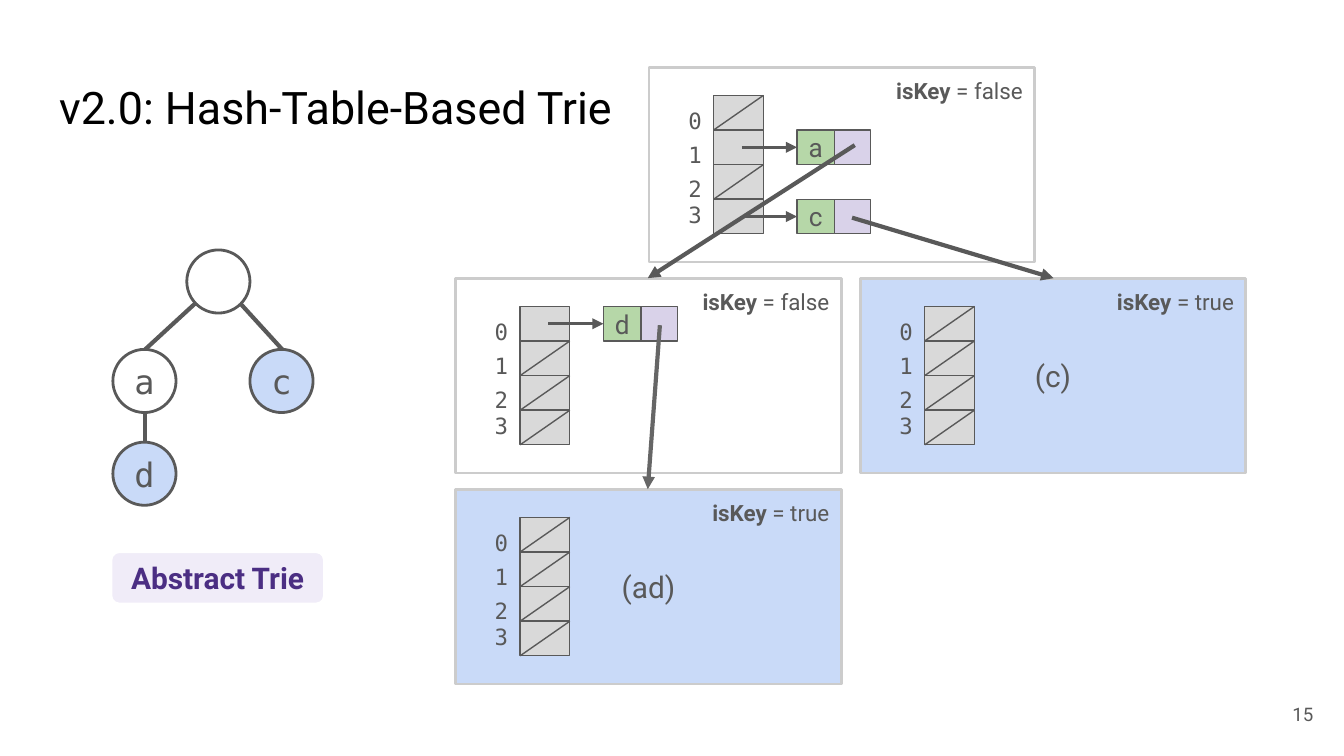
"""Build a slide comparing an abstract trie with its hash-table version."""
from lxml import etree
from pptx import Presentation
from pptx.dml.color import RGBColor
from pptx.enum import shapes, text
from pptx.oxml.ns import qn
from pptx.util import Inches, Pt

WHITE = RGBColor(0xFF, 0xFF, 0xFF)
BLACK = RGBColor(0x00, 0x00, 0x00)
INK = RGBColor(0x59, 0x59, 0x59)
POINTER_GRAY = RGBColor(0x66, 0x66, 0x66)
FRAME = RGBColor(0xCC, 0xCC, 0xCC)
SLOT = RGBColor(0xD9, 0xD9, 0xD9)
KEY_BLUE = RGBColor(0xC9, 0xDA, 0xF8)
GREEN = RGBColor(0xB6, 0xD7, 0xA8)
LILAC = RGBColor(0xD9, 0xD2, 0xE9)
PURPLE = RGBColor(0x4B, 0x2E, 0x83)
PALE_PURPLE = RGBColor(0xF0, 0xEC, 0xF8)
SANS, MONO = "Roboto", "DejaVu Sans Mono"
RECTANGLE = shapes.MSO_SHAPE.RECTANGLE
OVAL = shapes.MSO_SHAPE.OVAL
ALIGN = text.PP_ALIGN
TABLE_HEIGHT, SLOT_COUNT, SLOT_WIDTH = 1.03, 4, 0.37
SLOT_HEIGHT = TABLE_HEIGHT / SLOT_COUNT
CIRCLE = 0.47


def style_paragraph(paragraph, size, font=SANS, color=INK, bold=None, align=ALIGN.CENTER):
    """Set the font and alignment of a whole paragraph."""
    paragraph.alignment = align
    paragraph.font.size = Pt(size)
    paragraph.font.name = font
    paragraph.font.color.rgb = color
    paragraph.font.bold = bold


def set_frame(frame, margin=0.1, anchor=text.MSO_ANCHOR.MIDDLE):
    """Give a text frame equal margins, wrapping and an anchor."""
    frame.word_wrap = True
    frame.auto_size = text.MSO_AUTO_SIZE.NONE
    frame.vertical_anchor = anchor
    frame.margin_left = frame.margin_right = Inches(margin)
    frame.margin_top = frame.margin_bottom = Inches(margin)


def add_box(parent, kind, left, top, width, height, fill, line=INK, weight=0.75):
    """Add a filled and outlined preset shape."""
    shape = parent.add_shape(kind, Inches(left), Inches(top), Inches(width), Inches(height))
    shape.shadow.inherit = False
    shape.fill.solid()
    shape.fill.fore_color.rgb = fill
    shape.line.color.rgb = line
    shape.line.width = Pt(weight)
    return shape


def label_shape(shape, label, size, margin=0, **style):
    """Write a single centred label in a shape."""
    set_frame(shape.text_frame, margin)
    shape.text_frame.text = label
    style_paragraph(shape.text_frame.paragraphs[0], size, **style)


def add_text(parent, left, top, width, height):
    """Add an empty text box and return its frame."""
    box = parent.add_textbox(Inches(left), Inches(top), Inches(width), Inches(height))
    set_frame(box.text_frame)
    return box.text_frame


def add_line(parent, start, end, weight=0.75, color=INK, arrow=False):
    """Add a straight line, with an arrowhead at its end if asked."""
    line = parent.add_connector(
        shapes.MSO_CONNECTOR.STRAIGHT, *(Inches(value) for value in (*start, *end)))
    line.line.color.rgb = color
    line.line.width = Pt(weight)
    properties = line._element.spPr
    if arrow:
        etree.SubElement(properties.find(qn("a:ln")), qn("a:tailEnd"), type="triangle")
    etree.SubElement(properties, qn("a:effectLst"))


def add_title(slide, title):
    """Place and format the title placeholder."""
    shape = slide.shapes.title
    shape.left, shape.top, shape.width, shape.height = (
        Inches(value) for value in (0.34, 0.49, 9.32, 0.63))
    set_frame(shape.text_frame, anchor=text.MSO_ANCHOR.TOP)
    shape.text_frame.text = title
    style_paragraph(shape.text_frame.paragraphs[0], 24, color=BLACK, align=ALIGN.LEFT)


def add_circle(parent, left, top, fill, label=""):
    """Add a node of the abstract trie."""
    shape = add_box(parent, OVAL, left, top, CIRCLE, CIRCLE, fill, weight=1.5)
    if label:
        label_shape(shape, label, 18, font=MONO)


def add_indices(parent, left, top):
    """Number the slots of a hash table."""
    frame = add_text(parent, left, top, 0.32, TABLE_HEIGHT)
    for index in range(SLOT_COUNT):
        paragraph = frame.paragraphs[0] if index == 0 else frame.add_paragraph()
        paragraph.text = str(index)
        paragraph.line_spacing = 1.25 if index < SLOT_COUNT - 1 else 1.0
        style_paragraph(paragraph, 12, font=MONO, align=ALIGN.RIGHT)


def add_hash_table(slide, left, top, entries):
    """Add a grouped hash table; entries map a slot number to its letter."""
    parent = slide.shapes.add_group_shape().shapes
    for index in range(SLOT_COUNT):
        slot_top = top + index * SLOT_HEIGHT
        slot_bottom = slot_top + SLOT_HEIGHT
        middle = slot_top + SLOT_HEIGHT / 2
        add_box(parent, RECTANGLE, left, slot_top, SLOT_WIDTH, SLOT_HEIGHT, SLOT)
        if index not in entries:
            add_line(parent, (left, slot_bottom), (left + SLOT_WIDTH, slot_top))
            continue
        letter = add_box(parent, RECTANGLE, left + 0.62, slot_top, 0.28, SLOT_HEIGHT, GREEN)
        label_shape(letter, entries[index], 14)
        add_box(parent, RECTANGLE, left + 0.9, slot_top, 0.27, SLOT_HEIGHT, LILAC)
        add_line(parent, (left + 0.21, middle), (left + 0.62, middle), 1.5, arrow=True)
    add_indices(parent, left - 0.31, top)


def add_trie_node(slide, left, top, is_key, entries, label=""):
    """Add a framed trie node with its key flag and hash table."""
    fill = KEY_BLUE if is_key else WHITE
    frame = add_box(slide.shapes, RECTANGLE, left, top, 2.87, 1.45, fill, FRAME, 1.5)
    if label:
        label_shape(frame, label, 16, margin=0.1)
    paragraph = add_text(slide.shapes, left + 0.37, top, 2.51, 0.35).paragraphs[0]
    style_paragraph(paragraph, 12, align=ALIGN.RIGHT)
    for words, bold in (("isKey", True), (f" = {str(is_key).lower()}", False)):
        run = paragraph.add_run()
        run.text = words
        run.font.bold = bold
    add_hash_table(slide, left + 0.48, top + 0.21, entries)


def add_abstract_trie(slide):
    """Draw the abstract trie and its caption."""
    for start, end in (((1.45, 2.26), (1.08, 2.6)),
                       ((1.08, 3.07), (1.08, 3.29)),
                       ((1.79, 2.26), (2.1, 2.6))):
        add_line(slide.shapes, start, end, 2.25)
    for left, top, fill, label in ((1.39, 1.86, WHITE, ""), (0.84, 2.6, WHITE, "a"),
                                   (0.84, 3.29, KEY_BLUE, "d"), (1.86, 2.6, KEY_BLUE, "c")):
        add_circle(slide.shapes, left, top, fill, label)
    caption = add_box(slide.shapes, shapes.MSO_SHAPE.ROUNDED_RECTANGLE,
                      0.82, 4.1, 1.6, 0.4, PALE_PURPLE, WHITE, 2.25)
    label_shape(caption, "Abstract Trie", 16, color=PURPLE, bold=True)


def add_hash_trie(slide):
    """Draw the hash-table nodes and the pointers between them."""
    for node in ((4.83, 0.5, False, {1: "a", 3: "c"}),
                 (3.39, 2.07, False, {0: "d"}),
                 (3.39, 3.64, True, {}, "(ad)"),
                 (6.4, 2.07, True, {}, "(c)")):
        add_trie_node(slide, *node)
    for start, end, color in (((6.36, 1.08), (4.82, 2.07), INK),
                              ((6.34, 1.62), (7.84, 2.07), INK),
                              ((4.91, 2.42), (4.82, 3.64), POINTER_GRAY)):
        add_line(slide.shapes, start, end, 2.25, color, arrow=True)


def main():
    """Build and save the presentation."""
    presentation = Presentation()
    presentation.slide_width = Inches(10)
    presentation.slide_height = presentation.slide_width * 9 // 16
    slide = presentation.slides.add_slide(presentation.slide_layouts[5])
    add_title(slide, "v2.0: Hash-Table-Based Trie")
    add_abstract_trie(slide)
    add_hash_trie(slide)
    number = add_text(slide.shapes, 9.27, 5.1, 0.6, 0.43)
    number.text = "15"
    style_paragraph(number.paragraphs[0], 10, align=ALIGN.RIGHT)
    presentation.save("out.pptx")


if __name__ == "__main__":
    main()
